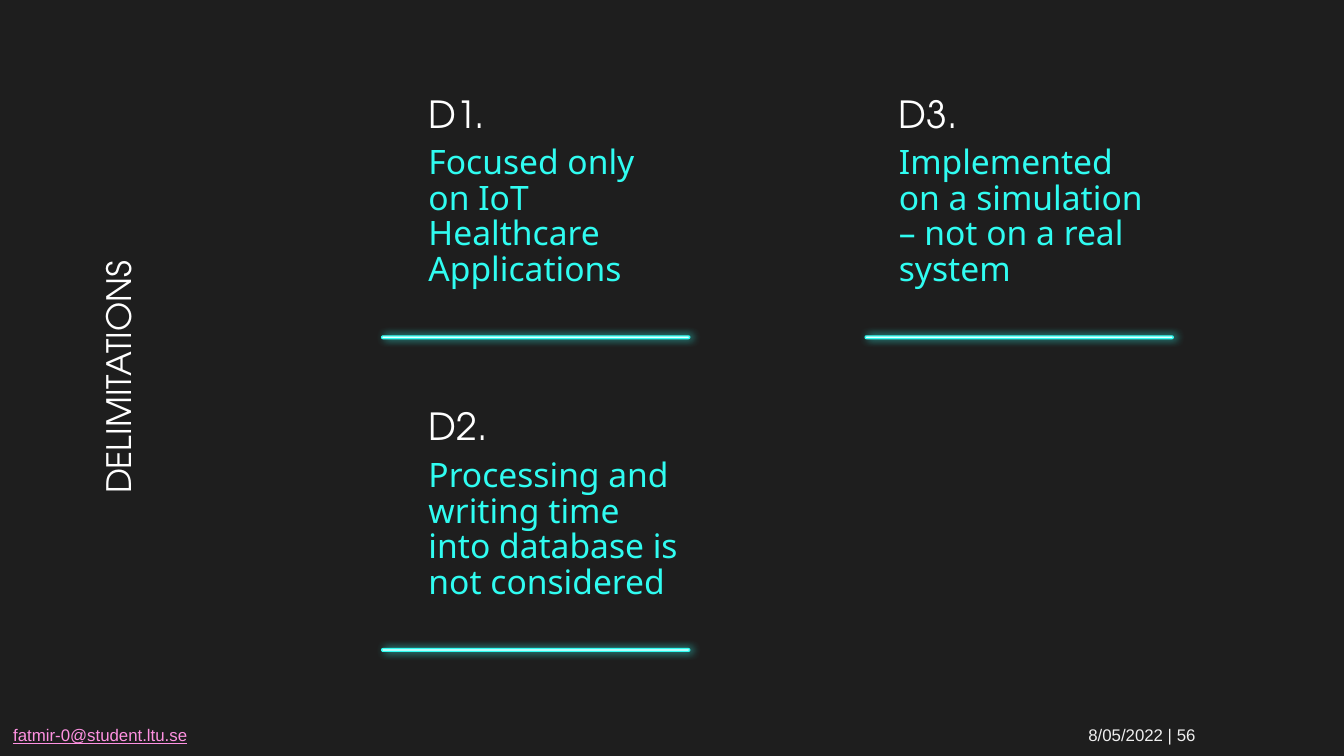
from lxml import etree
from pptx import Presentation
from pptx.dml import color
from pptx.enum import shapes, text
from pptx.oxml import ns
from pptx.util import Pt


def rgb(value):
    return color.RGBColor.from_string(value)


def add_xml(parent, tag, **attributes):
    return etree.SubElement(parent, ns.qn(tag), attributes)


class Deck:
    HEADING = "TeX Gyre Adventor"
    BODY = "Noto Sans"
    FOOTER = "Arial"
    WHITE = "FFFFFF"
    CYAN = "30FCF1"
    PINK = "FF92E2"
    GREY = "EEEEEE"
    DARK = "1E1E1E"

    def __init__(self, prs):
        self.s = prs.slides.add_slide(prs.slide_layouts[5])
        fill = self.s.background.fill
        fill.solid()
        fill.fore_color.rgb = rgb(self.DARK)

    def frame(self, sp, anchor, inset=7.2):
        tf = sp.text_frame
        tf.word_wrap = True
        tf.auto_size = text.MSO_AUTO_SIZE.NONE
        tf.vertical_anchor = anchor
        tf.margin_left = tf.margin_right = Pt(7.2)
        tf.margin_top = tf.margin_bottom = Pt(inset)
        return tf

    def style(self, p, font, size, fill):
        p.font.name = font
        p.font.size = Pt(size)
        p.font.color.rgb = rgb(fill)

    def title(self, words, left, top, width, height):
        sp = self.s.shapes.title
        sp.left, sp.top, sp.width, sp.height = map(Pt, (left, top, width, height))
        sp.rotation = 270
        tf = self.frame(sp, text.MSO_ANCHOR.MIDDLE)
        tf.text = words
        p = tf.paragraphs[0]
        p.alignment = text.PP_ALIGN.CENTER
        self.style(p, self.HEADING, 18, self.WHITE)

    def label(self, words, left, top, width, height, anchor, font, size, fill, spacing=1.0):
        sp = self.s.shapes.add_textbox(*map(Pt, (left, top, width, height)))
        tf = self.frame(sp, anchor)
        tf.text = words
        p = tf.paragraphs[0]
        p.line_spacing = spacing
        self.style(p, font, size, fill)

    def glow_bar(self, left, top, width, height):
        sp = self.s.shapes.add_shape(
            shapes.MSO_SHAPE.ROUNDED_RECTANGLE, *map(Pt, (left, top, width, height)))
        sp.adjustments[0] = 0.5
        sp.fill.solid()
        sp.fill.fore_color.rgb = rgb(self.WHITE)
        sp.line.color.rgb = rgb(self.CYAN)
        sp.line.width = Pt(0.75)
        sp.shadow.inherit = False
        effects = sp._element.spPr.find(ns.qn("a:effectLst"))
        shadow = add_xml(effects, "a:outerShdw", blurRad=str(Pt(4.5)),
                         dist=str(Pt(1.5)), dir="0", algn="bl", rotWithShape="0")
        tint = add_xml(shadow, "a:srgbClr", val=self.CYAN)
        add_xml(tint, "a:alpha", val="79000")

    def card(self, heading, body, text_left, bar_left, offset):
        self.label(heading, text_left, 34.5 + offset, 150, 45.4,
                   text.MSO_ANCHOR.BOTTOM, self.HEADING, 20, self.WHITE)
        self.label(body, text_left, 71.3 + offset, 150, 54.5,
                   text.MSO_ANCHOR.TOP, self.BODY, 18, self.CYAN, 0.88)
        self.glow_bar(bar_left, 180 + offset, 165, 1.4)

    def footer(self, email, date, left, top, width, height, tab):
        sp = self.s.shapes.add_textbox(*map(Pt, (left, top, width, height)))
        p = self.frame(sp, text.MSO_ANCHOR.TOP, 3.6).paragraphs[0]
        tabs = add_xml(p._p.get_or_add_pPr(), "a:tabLst")
        add_xml(tabs, "a:tab", pos=str(Pt(tab)), algn="l")
        self.style(p, self.FOOTER, 9, self.GREY)
        r = p.add_run()
        r.text = email
        r.font.underline = True
        r.font.color.rgb = rgb(self.PINK)
        p.add_run().text = "\t" + date


def main():
    prs = Presentation()
    prs.slide_width, prs.slide_height = Pt(720), Pt(405)
    deck = Deck(prs)
    deck.title("DELIMITATIONS", -80.6, 177, 288, 50.4)

    row_pitch = 167.5
    left_column, right_column = (222.5, 204.5), (474.5, 463.5)
    cards = [
        ("D1.", "Focused only on IoT Healthcare Applications", left_column, 0),
        ("D3.", "Implemented on a simulation – not on a real system", right_column, 0),
        ("D2.", "Processing and writing time into database is not considered", left_column, 1),
    ]
    for heading, body, column, row in cards:
        deck.card(heading, body, *column, row * row_pitch)

    deck.footer("fatmir-0@student.ltu.se", "8/05/2022 | 56", 0, 384.5, 720, 18, 576)
    prs.save("out.pptx")


if __name__ == "__main__":
    main()
